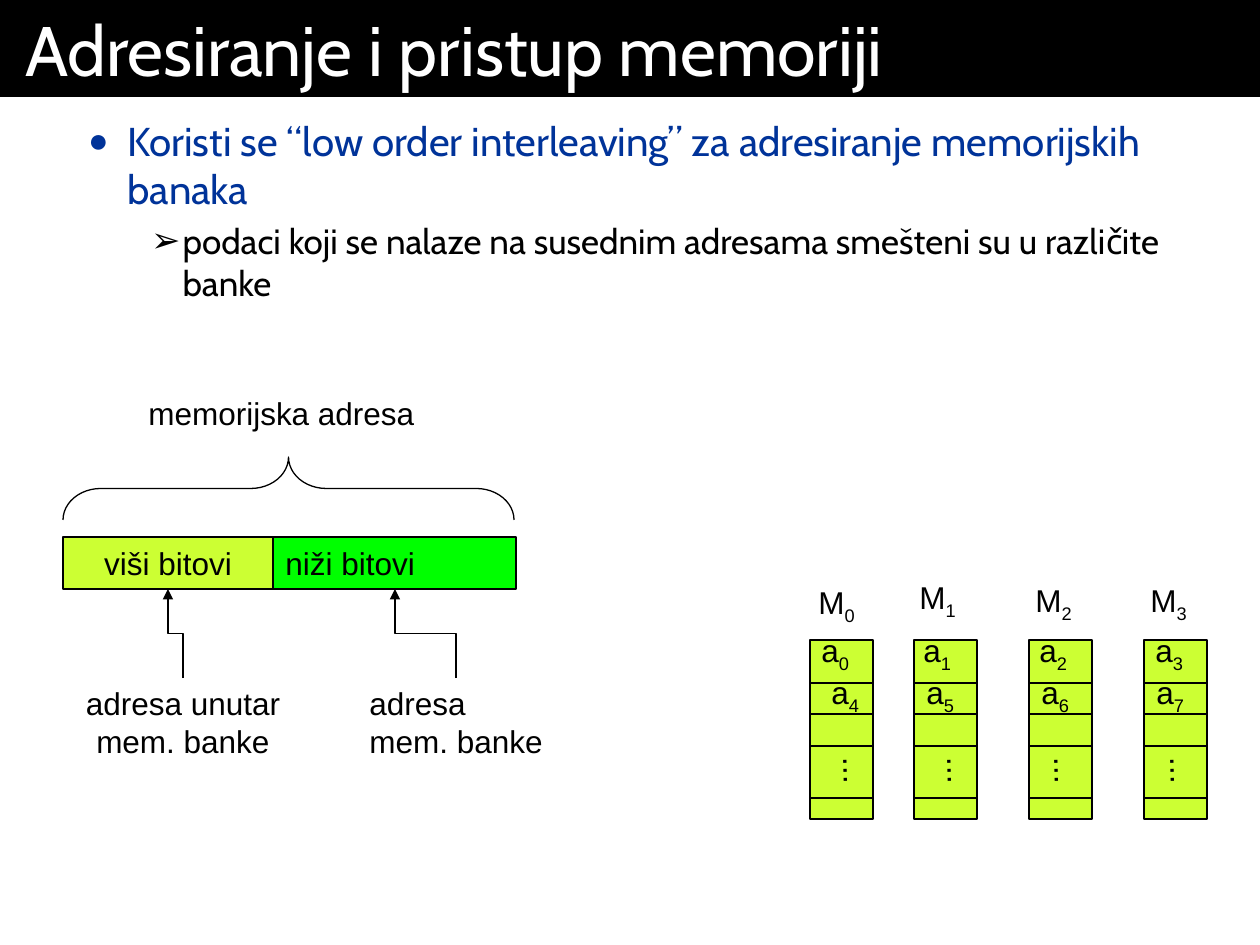
from lxml.etree import SubElement
from pptx import Presentation
from pptx.dml.color import RGBColor
from pptx.enum.shapes import MSO_CONNECTOR as Connector, MSO_SHAPE as Shape
from pptx.enum.text import MSO_ANCHOR as Anchor, MSO_AUTO_SIZE as AutoSize, PP_ALIGN as Align
from pptx.oxml.ns import qn
from pptx.util import Emu, Pt

PX_PER_INCH = 126
COLORS = {
    "black": "000000",
    "white": "FFFFFF",
    "blue": "003399",
    "lime": "CCFF33",
    "green": "00FF00",
}


def px(length):
    return Emu(round(length * 914400 / PX_PER_INCH))


def color(name):
    return RGBColor.from_string(COLORS[name])


def add_text(para, text, font="Arial", size=18, fill="black", subscript=False):
    span = para.add_run()
    span.text = text
    span.font.name = font
    span.font.size = Pt(size)
    span.font.color.rgb = color(fill)
    if subscript:
        span.font._element.set("baseline", "-25000")


class Painter:
    heading_font = "Cabin"
    line_width = 0.75

    def __init__(self, page):
        self.page = page

    def place(self, shape, left, top, width, height):
        shape.left, shape.top = px(left), px(top)
        shape.width, shape.height = px(width), px(height)

    def inset(self, frame, side, end):
        frame.auto_size = AutoSize.NONE
        frame.margin_left = frame.margin_right = px(side)
        frame.margin_top = frame.margin_bottom = px(end)

    def title(self, text, *area):
        holder = self.page.shapes.title
        self.place(holder, *area)
        holder.fill.solid()
        holder.fill.fore_color.rgb = color("black")
        frame = holder.text_frame
        self.inset(frame, 25, 6)
        para = frame.paragraphs[0]
        para.alignment = Align.LEFT
        add_text(para, text, font=self.heading_font, size=40, fill="white")

    def body(self, items, *area):
        holder = self.page.placeholders[1]
        self.place(holder, *area)
        frame = holder.text_frame
        self.inset(frame, 25, 19)
        for index, (text, level, size, fill, mark, scale) in enumerate(items):
            para = frame.add_paragraph() if index else frame.paragraphs[0]
            para.level = level
            self.bullet(para, fill, mark, scale)
            add_text(para, text, font=self.heading_font, size=size, fill=fill)

    def bullet(self, para, fill, mark, scale):
        props = para._p.get_or_add_pPr()
        tint = SubElement(props, qn("a:buClr"))
        SubElement(tint, qn("a:srgbClr"), val=COLORS[fill])
        SubElement(props, qn("a:buSzPct"), val=str(scale * 1000))
        SubElement(props, qn("a:buFont"), typeface="Arial")
        SubElement(props, qn("a:buChar"), char=mark)

    def outline(self, shape):
        shape.line.color.rgb = color("black")
        shape.line.width = Pt(self.line_width)

    def rectangle(self, fill, *area, text="", align=Align.CENTER):
        box = self.page.shapes.add_shape(Shape.RECTANGLE, *map(px, area))
        box.shadow.inherit = False
        box.fill.solid()
        box.fill.fore_color.rgb = color(fill)
        self.outline(box)
        if text:
            box.text_frame.vertical_anchor = Anchor.MIDDLE
            para = box.text_frame.paragraphs[0]
            para.alignment = align
            add_text(para, text)

    def brace(self, *area):
        brace = self.page.shapes.add_shape(Shape.LEFT_BRACE, *map(px, area))
        brace.shadow.inherit = False
        brace.fill.background()
        brace.rotation = 90
        brace.adjustments[0] = 0.6
        self.outline(brace)

    def label(self, lines, *area, index="", align=Align.LEFT, rotation=0):
        box = self.page.shapes.add_textbox(*map(px, area))
        box.rotation = rotation
        frame = box.text_frame
        frame.word_wrap = False
        frame.auto_size = AutoSize.SHAPE_TO_FIT_TEXT
        frame.vertical_anchor = Anchor.BOTTOM
        for number, line in enumerate(lines):
            para = frame.add_paragraph() if number else frame.paragraphs[0]
            para.alignment = align
            add_text(para, line)
        if index:
            add_text(para, index, subscript=True)

    def connector(self, kind, *ends):
        line = self.page.shapes.add_connector(kind, *map(px, ends))
        self.outline(line)
        SubElement(line.element.spPr, qn("a:effectLst"))
        return line

    def elbow_arrow(self, start_x, start_y, end_x, end_y):
        middle_x, middle_y = (start_x + end_x) / 2, (start_y + end_y) / 2
        half_width, half_height = (start_x - end_x) / 2, (start_y - end_y) / 2
        arrow = self.connector(
            Connector.ELBOW,
            middle_x + half_height, middle_y - half_width,
            middle_x - half_height, middle_y + half_width,
        )
        arrow.element.spPr.find(qn("a:xfrm")).set("rot", "5400000")
        SubElement(arrow.line._get_or_add_ln(), qn("a:tailEnd"), type="triangle")

    def memory_bank(self, number, left, name_at, first_left, second_left, dots_left):
        top, width, height = 640, 63, 179
        self.rectangle("lime", left, top, width, height)
        for y in (683, 714, 746, 798):
            self.connector(Connector.STRAIGHT, left, y, left + width, y)
        self.label(["..."], dots_left, 746, 52, 50, rotation=88.3)
        self.label(["M"], *name_at, 63, 50, index=str(number))
        self.label(["a"], first_left, 630, 54, 50, index=str(number))
        self.label(["a"], second_left, 672, 54, 50, index=str(number + 4))


def main():
    deck = Presentation()
    deck.slide_width, deck.slide_height = px(1260), px(945)
    painter = Painter(deck.slides.add_slide(deck.slide_layouts[1]))

    painter.title("Adresiranje i pristup memoriji", 0, 0, 1260, 97)
    painter.body([
        ("Koristi se “low order interleaving” za adresiranje memorijskih banaka",
         1, 23, "blue", "●", 85),
        ("podaci koji se nalaze na susednim adresama smešteni su u različite banke",
         2, 20, "black", "➢", 100),
    ], 0, 97, 1260, 848)

    painter.rectangle("lime", 63, 537, 210, 52, text="viši bitovi")
    painter.rectangle("green", 273, 537, 243, 52, text="niži bitovi", align=Align.LEFT)
    painter.label(["adresa unutar", "mem. banke"], 63, 678, 240, 88, align=Align.CENTER)
    painter.label(["adresa", "mem. banke"], 357, 678, 199, 88)
    painter.elbow_arrow(183, 678, 168, 589)
    painter.elbow_arrow(456, 678, 395, 589)
    painter.brace(257, 263, 63, 451)
    painter.label(["memorijska adresa"], 136, 388, 291, 50)

    banks = [
        (810, (806, 582), 809, 819, 830),
        (914, (907, 577), 911, 914, 934),
        (1029, (1023, 580), 1027, 1029, 1041),
        (1144, (1138, 580), 1143, 1144, 1157),
    ]
    for number, bank in enumerate(banks):
        painter.memory_bank(number, *bank)

    deck.save("out.pptx")


if __name__ == "__main__":
    main()
